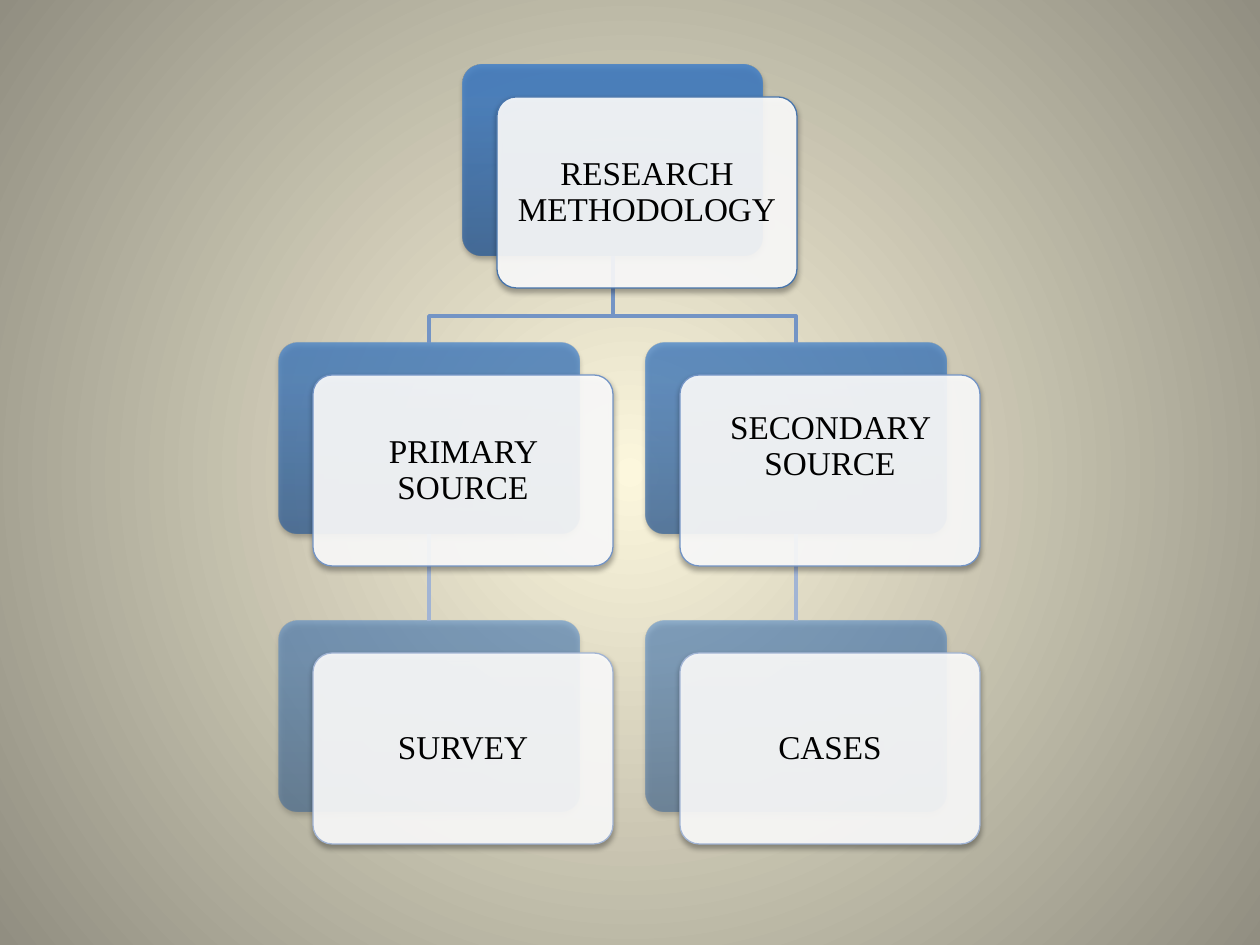
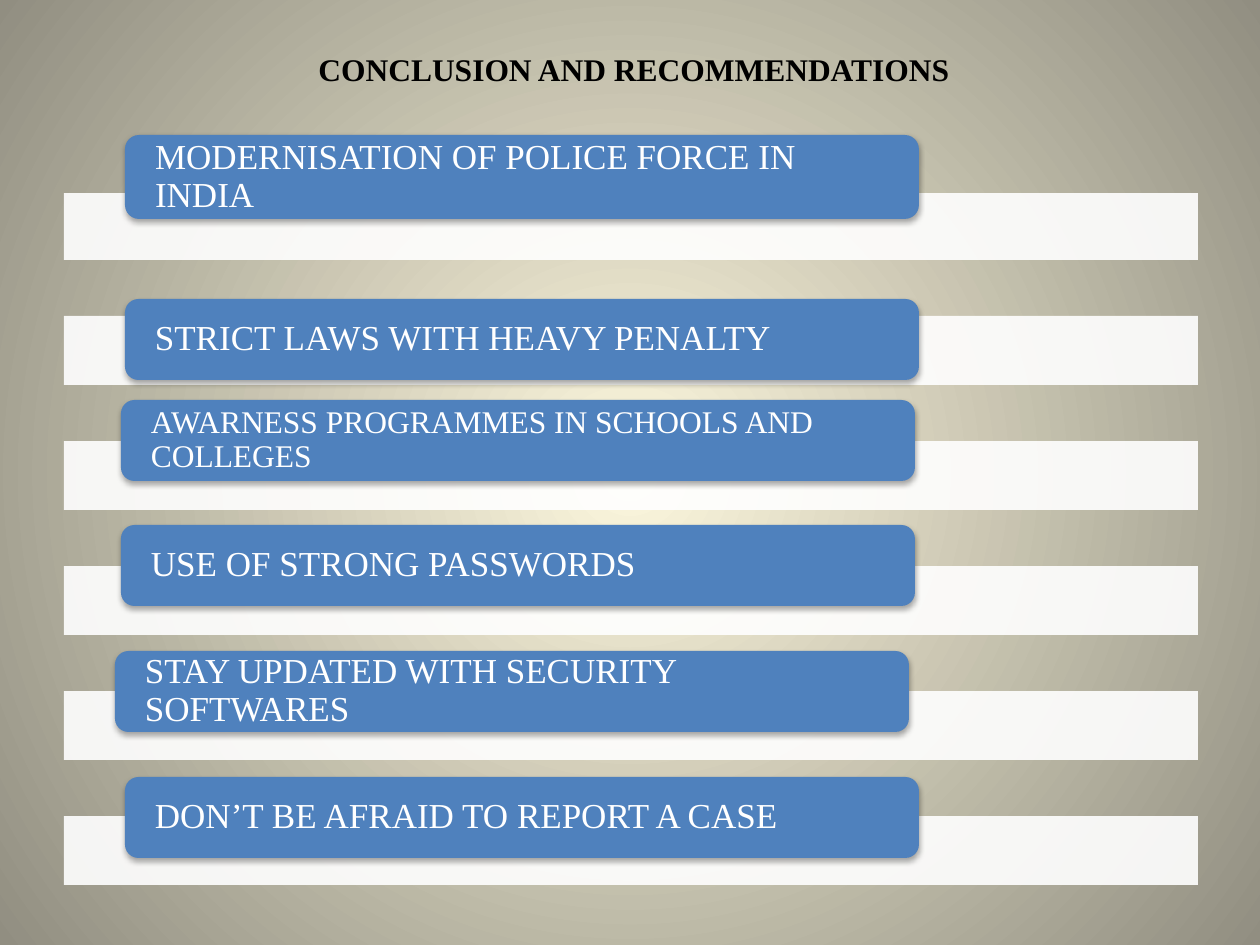
from lxml import etree
from pptx import Presentation
from pptx.dml.color import RGBColor
from pptx.enum.shapes import MSO_CONNECTOR, MSO_SHAPE
from pptx.enum.text import MSO_ANCHOR, PP_ALIGN
from pptx.oxml import parse_xml
from pptx.oxml.ns import nsdecls, qn
from pptx.util import Emu, Pt

RECT = MSO_SHAPE.RECTANGLE
ROUND = MSO_SHAPE.ROUNDED_RECTANGLE
STRAIGHT = MSO_CONNECTOR.STRAIGHT
MIDDLE = MSO_ANCHOR.MIDDLE
LEFT, CENTER = PP_ALIGN.LEFT, PP_ALIGN.CENTER

SCALE = 914400 / 126
FONT = "Times New Roman"
COLORS = {
    "glow": "FCF7DD", "edge": "918E81",
    "white": "FFFFFF", "black": "000000", "pill": "4F81BD",
    "deep": "2F5F99", "mid": "3D7CC7", "light": "3A7CCB",
    "top": "4875AC", "source": "7394C5", "leaf": "A1B4D4",
}

BOX_W, BOX_H = 300, 191
COL_X = (279, 646)
ROW_Y = (65, 343, 621)
ROOT_X = sum(COL_X) // 2 + 1
SHIFT = 34, 32
BEND_Y = 316
RANKS = (("top", 80), ("source", 70), ("leaf", 50))  # line colour, opacity

# text, left, top, height, stripe height, size
ADVICE = (
    ("MODERNISATION OF POLICE FORCE IN INDIA", 125, 135, 84, 67, 20),
    ("STRICT LAWS WITH HEAVY PENALTY", 125, 299, 81, 69, 20),
    ("AWARNESS PROGRAMMES IN SCHOOLS AND COLLEGES", 121, 400, 81, 69, 18),
    ("USE OF STRONG PASSWORDS", 121, 525, 81, 69, 20),
    ("STAY UPDATED WITH SECURITY SOFTWARES", 115, 651, 81, 69, 20),
    ("DON’T BE AFRAID TO REPORT A CASE", 125, 777, 81, 69, 20),
)


def px(n):
    return Emu(round(n * SCALE))


def rgb(name):
    return RGBColor.from_string(COLORS[name])


def blend(stops, shade, alpha=100):
    """Gradient fill element from (percent, colour name) stops."""
    marks = "".join(
        f'<a:gs pos="{pos * 1000}"><a:srgbClr val="{COLORS[name]}">'
        f'<a:alpha val="{alpha * 1000}"/></a:srgbClr></a:gs>'
        for pos, name in stops)
    return parse_xml(f'<a:gradFill {nsdecls("a")} rotWithShape="1">'
                     f'<a:gsLst>{marks}</a:gsLst>{shade}</a:gradFill>')


def swap(parent, fill):
    """Replace the solid fill under parent."""
    parent.replace(parent.find(qn("a:solidFill")), fill)


def paint(master):
    master.background.fill.solid()
    shade = ('<a:path path="circle"><a:fillToRect l="50000" t="50000" '
             'r="50000" b="50000"/></a:path>')
    back = next(master.element.iter(qn("p:bgPr")))
    swap(back, blend(((0, "glow"), (100, "edge")), shade))


def block(slide, kind, x, y, w, h, color, alpha=100):
    shape = slide.shapes.add_shape(kind, px(x), px(y), px(w), px(h))
    shape.shadow.inherit = False
    shape.line.fill.background()
    shape.fill.solid()
    shape.fill.fore_color.rgb = rgb(color)
    if alpha < 100:
        tint = next(shape.element.spPr.iter(qn("a:srgbClr")))
        etree.SubElement(tint, qn("a:alpha"), val=str(alpha * 1000))
    return shape


def shade(shape):
    """Add a soft shadow straight below the shape."""
    shape.element.spPr.find(qn("a:effectLst")).append(parse_xml(
        f'<a:outerShdw {nsdecls("a")} blurRad="40000" dist="23000" '
        'dir="5400000" rotWithShape="0"><a:srgbClr val="000000">'
        '<a:alpha val="35000"/></a:srgbClr></a:outerShdw>'))


def write(shape, text, size, color, align, pads=(0, 0, 0, 0), bold=False):
    frame = shape.text_frame
    frame.word_wrap = True
    frame.vertical_anchor = MIDDLE
    (frame.margin_left, frame.margin_top,
     frame.margin_right, frame.margin_bottom) = map(px, pads)
    frame.text = text
    para = frame.paragraphs[0]
    para.alignment = align
    para.line_spacing = 0.9
    font = para.runs[0].font
    font.name, font.size, font.bold = FONT, Pt(size), bold
    font.color.rgb = rgb(color)


def back(slide, x, rank):
    shape = block(slide, ROUND, x, ROW_Y[rank], BOX_W, BOX_H, "mid")
    shape.adjustments[0] = 0.1
    stops = ((0, "deep"), (80, "mid"), (100, "light"))
    swap(shape.element.spPr,
         blend(stops, '<a:lin ang="16200000"/>', RANKS[rank][1]))
    shade(shape)
    return shape


def card(slide, text, x, rank, lift=0):
    """White label over a back box; lift raises its text."""
    dx, dy = SHIFT
    shape = block(slide, ROUND, x + dx, ROW_Y[rank] + dy, BOX_W, BOX_H,
                  "white", 90)
    shape.adjustments[0] = 0.1
    shape.line.color.rgb = rgb(RANKS[rank][0])
    shape.line.width = Pt(0.75)
    shade(shape)
    write(shape, text, 19, "black", CENTER, (8, 10, 8, 10 + 2 * lift))


def stroke(line, color):
    line.color.rgb = rgb(color)
    line.width = Pt(2)


def elbow(slide, x):
    """Bent line from the root box to the box at x."""
    half = BOX_W // 2
    start, end = ROOT_X + half, x + half
    path = slide.shapes.build_freeform(start, ROW_Y[0] + BOX_H, SCALE)
    path.add_line_segments(
        ((start, BEND_Y), (end, BEND_Y), (end, ROW_Y[1])), close=False)
    shape = path.convert_to_shape()
    shape.fill.background()
    shape.shadow.inherit = False
    stroke(shape.line, "source")


def link(slide, upper, lower):
    line = slide.shapes.add_connector(STRAIGHT, 0, 0, 0, 0)
    line.begin_connect(upper, 2)
    line.end_connect(lower, 0)
    stroke(line.line, "leaf")
    etree.SubElement(line.element.spPr, qn("a:effectLst"))


def method(slide):
    back(slide, ROOT_X, 0)
    for x in COL_X:
        source, leaf = back(slide, x, 1), back(slide, x, 2)
        elbow(slide, x)
        link(slide, source, leaf)
    card(slide, "RESEARCH METHODOLOGY", ROOT_X, 0)
    card(slide, "PRIMARY SOURCE", COL_X[0], 1)
    card(slide, "SECONDARY SOURCE", COL_X[1], 1, 24)
    for x, text in zip(COL_X, ("SURVEY", "CASES")):
        card(slide, text, x, 2)


def advice(slide):
    title = slide.shapes.add_textbox(px(67), px(48), px(1134), px(46))
    write(title, "CONCLUSION AND RECOMMENDATIONS", 18, "black", CENTER,
          bold=True)
    for i, (text, x, y, h, band, size) in enumerate(ADVICE):
        block(slide, RECT, 64, 260 + 125 * i - band, 1134, band, "white", 90)
        pill = block(slide, ROUND, x, y, 794, h, "pill")
        shade(pill)
        write(pill, text, size, "white", LEFT, (26, 0, 26, 0))


def main():
    prs = Presentation()
    prs.slide_width, prs.slide_height = px(1260), px(945)
    paint(prs.slide_master)
    for build in (method, advice):
        build(prs.slides.add_slide(prs.slide_layouts[6]))
    prs.save("out.pptx")


if __name__ == "__main__":
    main()
